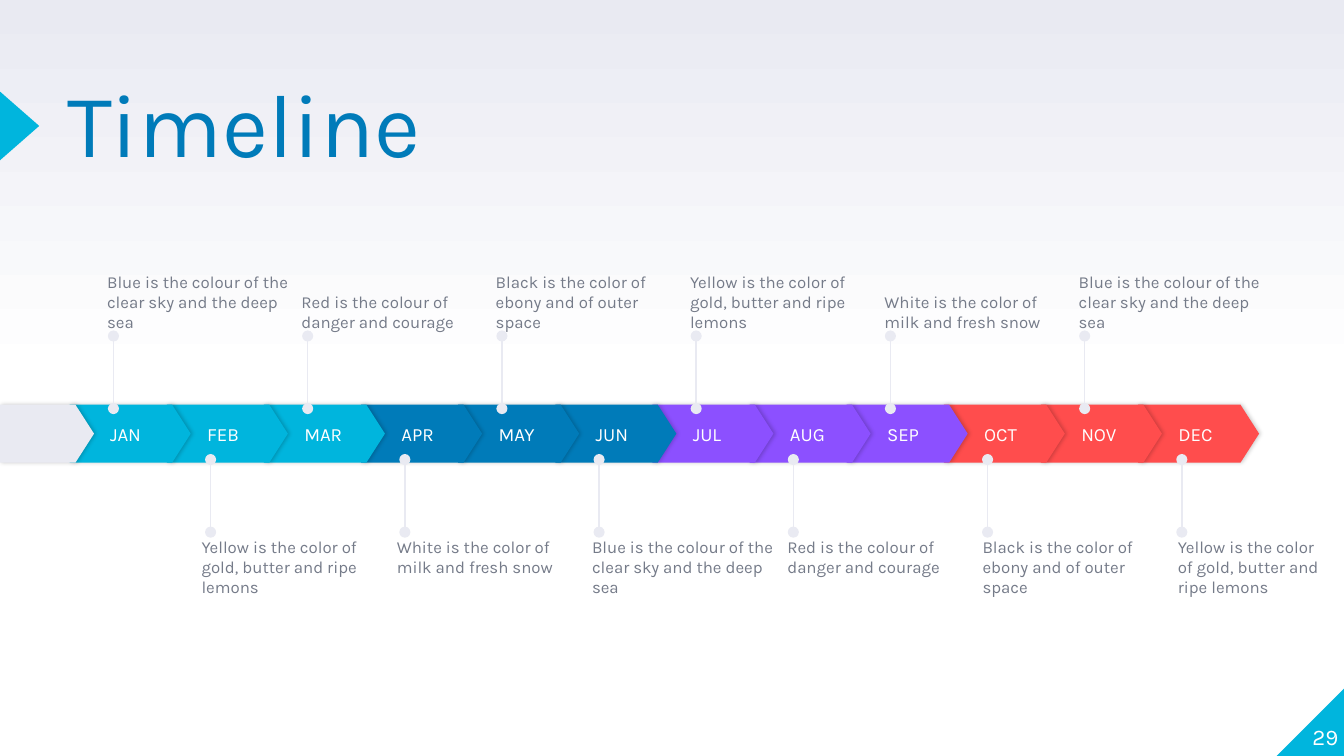
from lxml.etree import SubElement
from pptx import Presentation
from pptx.dml.color import RGBColor
from pptx.enum.shapes import MSO_CONNECTOR, MSO_SHAPE
from pptx.enum.text import MSO_ANCHOR, PP_ALIGN
from pptx.oxml import parse_xml
from pptx.oxml.ns import nsdecls, qn
from pptx.util import Pt

COLORS = {
    "cyan": "00B5DD", "blue": "007BB9", "purple": "8C50FF", "red": "FF4D4D",
    "pale": "E9EAF2", "gray": "757B89", "white": "FFFFFF",
}
SHADOW = (
    f'<a:effectLst {nsdecls("a")}><a:outerShdw blurRad="{Pt(2.2)}" dist="{Pt(0.8)}" dir="0">'
    '<a:srgbClr val="000000"><a:alpha val="20000"/></a:srgbClr></a:outerShdw></a:effectLst>'
)


def add_shape(kind, x, y, w, h, color):
    sp = slide.shapes.add_shape(kind, Pt(x), Pt(y), Pt(w), Pt(h))
    sp.shadow.inherit = False
    sp.fill.solid()
    sp.fill.fore_color.rgb = RGBColor.from_string(COLORS[color])
    sp.line.fill.background()
    return sp


def set_text(sp, text, size, color, anchor=MSO_ANCHOR.TOP, align=PP_ALIGN.LEFT, left=0):
    tf = sp.text_frame
    tf.word_wrap = True
    tf.margin_left = Pt(left)
    tf.margin_top = tf.margin_right = tf.margin_bottom = 0
    tf.vertical_anchor = anchor
    p = tf.paragraphs[0]
    p.text = text
    p.alignment = align
    p.font.size = Pt(size)
    p.font.name = "Karla"
    p.font.color.rgb = RGBColor.from_string(COLORS[color])
    return p


prs = Presentation()
prs.slide_width, prs.slide_height = Pt(720), Pt(405)
slide = prs.slides.add_slide(prs.slide_layouts[5])

# Background: white lower half, fading to pale at the top
fill = slide.background.fill
fill.gradient()
fill.gradient_angle = 90
for stop, position, color in zip(fill.gradient_stops, (0.5, 1), ("white", "pale")):
    stop.position = position
    stop.color.rgb = RGBColor.from_string(COLORS[color])

# Corner and title markers
corner = add_shape(MSO_SHAPE.RIGHT_TRIANGLE, 684, 368.2, 36.8, 36.8, "cyan")
corner._element.spPr.xfrm.set("flipH", "1")
marker = add_shape(MSO_SHAPE.ISOSCELES_TRIANGLE, -7.9, 57, 36.8, 21, "cyan")
marker.rotation = 90

# Title
title = slide.shapes.title
title.left, title.top, title.width, title.height = Pt(36), Pt(47.5), Pt(444), Pt(85)
p = set_text(title, "Timeline", 48, "blue")
p.line_spacing = 0.8

# Slide number
number = slide.shapes.add_textbox(Pt(681), Pt(365), Pt(36), Pt(36.8))
set_text(number, "29", 12, "white", MSO_ANCHOR.BOTTOM, PP_ALIGN.RIGHT)

# Month band: each arrow overlaps the next, so the last is drawn first
MONTHS = ["JAN", "FEB", "MAR", "APR", "MAY", "JUN",
          "JUL", "AUG", "SEP", "OCT", "NOV", "DEC"]
QUARTERS = ["cyan", "blue", "purple", "red"]
STEP = 52.03
arrows = [(37.4 + STEP * i, 64.8, QUARTERS[i // 3], month)
          for i, month in enumerate(MONTHS)]
arrows.insert(0, (0, 50.4, "pale", ""))
for x, width, color, month in reversed(arrows):
    sp = add_shape(MSO_SHAPE.PENTAGON, x, 216.8, width, 31.1, color)
    sp.adjustments[0] = 0.32
    spPr = sp._element.spPr
    spPr.replace(spPr.find(qn("a:effectLst")), parse_xml(SHADOW))
    if month:
        set_text(sp, month, 10, "white", MSO_ANCHOR.MIDDLE, left=21.6)

# Callouts: alternately above and below the band
BLUE = "Blue is the colour of the clear sky and the deep sea"
RED = "Red is the colour of danger and courage"
BLACK = "Black is the color of ebony and of outer space"
YELLOW = "Yellow is the color of gold, butter and ripe lemons"
WHITE = "White is the color of milk and fresh snow"
NOTES = [BLUE, YELLOW, RED, WHITE, BLACK, BLUE,
         YELLOW, RED, WHITE, BLACK, BLUE, YELLOW]
for i, note in enumerate(NOTES):
    pair, below = divmod(i, 2)
    if below:
        start, end, top, anchor = 285.1, 246.2, 287.3, MSO_ANCHOR.TOP
        left = 108 + 104.6 * pair
    else:
        start, end, top, anchor = 218.9, 180, 136.1, MSO_ANCHOR.BOTTOM
        left = 57.4 + 104.1 * pair
    width = 81.4 if i == len(NOTES) - 1 else 98.6

    x = Pt(60.8 + STEP * i)
    line = slide.shapes.add_connector(MSO_CONNECTOR.STRAIGHT, x, Pt(start), x, Pt(end))
    line.line.color.rgb = RGBColor.from_string(COLORS["pale"])
    line.line.width = Pt(0.75)
    ln = line.line._get_or_add_ln()
    for tag in ("a:headEnd", "a:tailEnd"):
        SubElement(ln, qn(tag), type="oval", w="med", len="med")
    SubElement(line._element.spPr, qn("a:effectLst"))

    label = slide.shapes.add_textbox(Pt(left), Pt(top), Pt(width), Pt(41.8))
    set_text(label, note, 9, "gray", anchor)

prs.save("out.pptx")
